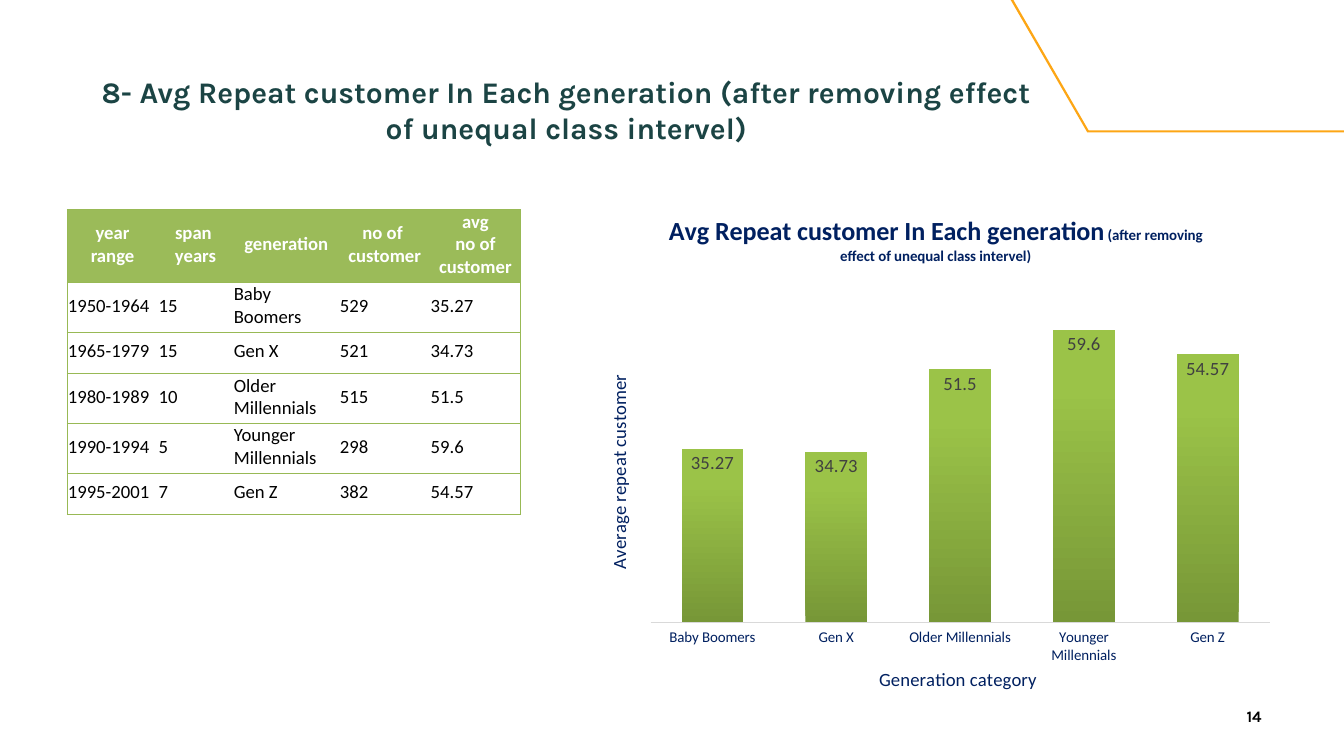
from dataclasses import dataclass
from typing import Any, NamedTuple

from lxml.etree import SubElement
from pptx import Presentation
from pptx.chart.data import CategoryChartData
from pptx.dml.color import RGBColor
from pptx.enum.chart import XL_CHART_TYPE as ChartType
from pptx.enum.chart import XL_LABEL_POSITION as LabelPosition
from pptx.enum.chart import XL_TICK_LABEL_POSITION as TickLabels
from pptx.enum.chart import XL_TICK_MARK as TickMark
from pptx.enum.text import MSO_ANCHOR as Anchor
from pptx.enum.text import PP_ALIGN as Align
from pptx.oxml.ns import qn
from pptx.util import Inches, Pt

WHITE = RGBColor(0xFF, 0xFF, 0xFF)
BLACK = RGBColor(0, 0, 0)
TEAL = RGBColor(0x1B, 0x44, 0x44)
NAVY = RGBColor(0, 0x20, 0x60)
GREY = RGBColor(0x40, 0x40, 0x40)
PALE_GREY = RGBColor(0xD9, 0xD9, 0xD9)
ORANGE = RGBColor(0xFD, 0xA6, 0x15)
HEADER_GREEN = RGBColor(0x9B, 0xBB, 0x59)
BORDER_GREEN = RGBColor(0x98, 0xB9, 0x55)
DARK_GREEN = RGBColor(0x77, 0x97, 0x37)
LIGHT_GREEN = RGBColor(0x9B, 0xC3, 0x48)
PLAIN_TABLE = "{2D5ABB26-0587-4C30-8999-92F81FD0307C}"


class Area(NamedTuple):
    left: float
    top: float
    width: float
    height: float

    def lengths(self) -> list[int]:
        return [Inches(value) for value in self]


@dataclass(frozen=True)
class Style:
    size: float
    color: RGBColor
    name: str = "Calibri"
    bold: bool = False


@dataclass(frozen=True)
class Generation:
    years: str
    span: int
    name: str
    customers: int
    average: float

    def texts(self) -> list[str]:
        values = (self.years, self.span, self.name, self.customers, self.average)
        return [str(value) for value in values]


HEADERS = ["year\nrange", "span \nyears", "generation", "no of \ncustomer", "avg\nno of\ncustomer"]
GENERATIONS = [
    Generation("1950-1964", 15, "Baby Boomers", 529, 35.27),
    Generation("1965-1979", 15, "Gen X", 521, 34.73),
    Generation("1980-1989", 10, "Older Millennials", 515, 51.5),
    Generation("1990-1994", 5, "Younger Millennials", 298, 59.6),
    Generation("1995-2001", 7, "Gen Z", 382, 54.57),
]
COLUMN_WIDTHS = [1.35, 1.12, 1.58, 1.35, 1.35]
ROW_HEIGHTS = [1.08, 0.74, 0.62, 0.74, 0.74, 0.62]
RIBBON = [(16.18, 1.97), (20, 1.97), (20, 1.94), (16.2, 1.94), (15.08, 0), (15.04, 0)]
PLOT_LAYOUT = {"x": 0.09, "y": 0.16, "w": 0.89, "h": 0.69}


def set_all(target: Any, values: dict[str, Any]) -> None:
    for name, value in values.items():
        setattr(target, name, value)


def set_font(font: Any, style: Style) -> None:
    set_all(font, {"size": Pt(style.size), "name": style.name, "bold": style.bold})
    font.color.rgb = style.color


def write(frame: Any, text: str, style: Style, align: Align) -> None:
    frame.text = text
    for para in frame.paragraphs:
        para.alignment = align
        for span in para.runs:
            set_font(span.font, style)


def add_text(page: Any, area: Area, text: str, style: Style, align: Align, wrap: bool) -> None:
    frame = page.shapes.add_textbox(*area.lengths()).text_frame
    sides = ("left", "right", "top", "bottom")
    set_all(frame, {f"margin_{side}": 0 for side in sides} | {"word_wrap": wrap})
    write(frame, text, style, align)


def add_borders(cell: Any, sides: list[str]) -> None:
    properties = cell._tc.get_or_add_tcPr()
    for side in sides:
        line = SubElement(properties, qn(f"a:ln{side}"), w=str(Pt(0.75)))
        fill = SubElement(line, qn("a:solidFill"))
        SubElement(fill, qn("a:srgbClr"), val=str(BORDER_GREEN))


def add_generation_table(page: Any, area: Area) -> None:
    rows = [HEADERS] + [generation.texts() for generation in GENERATIONS]
    table = page.shapes.add_table(len(rows), len(HEADERS), *area.lengths()).table
    table.horz_banding = False
    table._tbl.tblPr.find(qn("a:tableStyleId")).text = PLAIN_TABLE
    for column, width in zip(table.columns, COLUMN_WIDTHS):
        column.width = Inches(width)
    for row, height in zip(table.rows, ROW_HEIGHTS):
        row.height = Inches(height)

    edges = {0: ["L"], len(HEADERS) - 1: ["R"]}
    cell_format = {
        "vertical_anchor": Anchor.MIDDLE,
        "margin_left": Inches(0.01),
        "margin_right": Inches(0.01),
        "margin_top": Inches(0.01),
        "margin_bottom": Inches(0.05),
    }
    for row_index, texts in enumerate(rows):
        for column_index, text in enumerate(texts):
            cell = table.cell(row_index, column_index)
            set_all(cell, cell_format)
            add_borders(cell, edges.get(column_index, []) + ["T", "B"])
            if row_index == 0:
                cell.fill.solid()
                cell.fill.fore_color.rgb = HEADER_GREEN
                write(cell.text_frame, text, Style(20, WHITE, bold=True), Align.CENTER)
            else:
                cell.fill.background()
                write(cell.text_frame, text, Style(20, BLACK), Align.LEFT)


def add_chart_title(chart: Any, parts: list[tuple[str, Style]]) -> None:
    para = chart.chart_title.text_frame.paragraphs[0]
    for text, style in parts:
        span = para.add_run()
        span.text = text
        set_font(span.font, style)
    chart.chart_title.include_in_layout = False


def place_plot(chart: Any) -> None:
    plot_area = chart._chartSpace.chart.plotArea
    for old in plot_area.findall(qn("c:layout")):
        plot_area.remove(old)
    layout = SubElement(plot_area, qn("c:layout"))
    plot_area.insert(0, layout)
    manual = SubElement(layout, qn("c:manualLayout"))
    SubElement(manual, qn("c:layoutTarget"), val="inner")
    for axis in "xy":
        SubElement(manual, qn(f"c:{axis}Mode"), val="edge")
    for name, value in PLOT_LAYOUT.items():
        SubElement(manual, qn(f"c:{name}"), val=str(value))


def add_average_chart(page: Any, area: Area) -> None:
    chart_data = CategoryChartData()
    chart_data.categories = [generation.name for generation in GENERATIONS]
    chart_data.add_series("Series 1", [generation.average for generation in GENERATIONS])
    chart = page.shapes.add_chart(ChartType.COLUMN_CLUSTERED, *area.lengths(), chart_data).chart
    chart.has_legend = False
    set_font(chart.font, Style(10, BLACK))
    add_chart_title(chart, [
        ("Avg Repeat customer In Each generation", Style(28, NAVY, bold=True)),
        (" (after removing effect of unequal class intervel)", Style(16, NAVY, bold=True)),
    ])

    categories, values = chart.category_axis, chart.value_axis
    titles = [(categories, "Generation category "), (values, "Average repeat customer")]
    for axis, title in titles:
        write(axis.axis_title.text_frame, title, Style(20, NAVY), Align.CENTER)
    set_all(categories, {"major_tick_mark": TickMark.NONE, "tick_label_position": TickLabels.LOW})
    set_font(categories.tick_labels.font, Style(16, NAVY))
    categories.format.line.color.rgb = PALE_GREY
    categories.format.line.width = Pt(1)
    set_all(values, {"minimum_scale": 0, "maximum_scale": 70,
                     "has_major_gridlines": False, "visible": False})

    plot = chart.plots[0]
    set_all(plot, {"gap_width": 100, "overlap": -24,
                   "vary_by_categories": False, "has_data_labels": True})
    set_all(plot.data_labels, {"show_value": True, "position": LabelPosition.INSIDE_END})
    set_font(plot.data_labels.font, Style(20, GREY))
    fill = plot.series[0].format.fill
    fill.gradient()
    fill.gradient_angle = 90
    for stop, position, color in zip(fill.gradient_stops, (0, 0.8), (DARK_GREEN, LIGHT_GREEN)):
        stop.position = position
        stop.color.rgb = color
    place_plot(chart)


def add_ribbon(page: Any) -> None:
    start, *corners = [(Inches(x), Inches(y)) for x, y in RIBBON]
    builder = page.shapes.build_freeform(*start)
    builder.add_line_segments(corners, close=True)
    ribbon = builder.convert_to_shape()
    ribbon.shadow.inherit = False
    ribbon.fill.solid()
    ribbon.fill.fore_color.rgb = ORANGE
    ribbon.line.fill.background()


def main() -> None:
    deck = Presentation()
    set_all(deck, {"slide_width": Inches(20), "slide_height": Inches(11.25)})
    page = deck.slides.add_slide(deck.slide_layouts[6])
    add_text(page, Area(1.48, 1.1, 13.9, 1.08),
             "8- Avg Repeat customer In Each generation (after removing effect of unequal class intervel)",
             Style(32, TEAL, "Karla", True), Align.CENTER, True)
    add_average_chart(page, Area(8.75, 2.96, 10.35, 7.41))
    add_generation_table(page, Area(1, 3.12, 6.75, 4.54))
    add_ribbon(page)
    add_text(page, Area(18.55, 10.51, 0.33, 0.3), "14",
             Style(17, BLACK, "Karla", True), Align.LEFT, False)
    deck.save("out.pptx")


if __name__ == "__main__":
    main()
